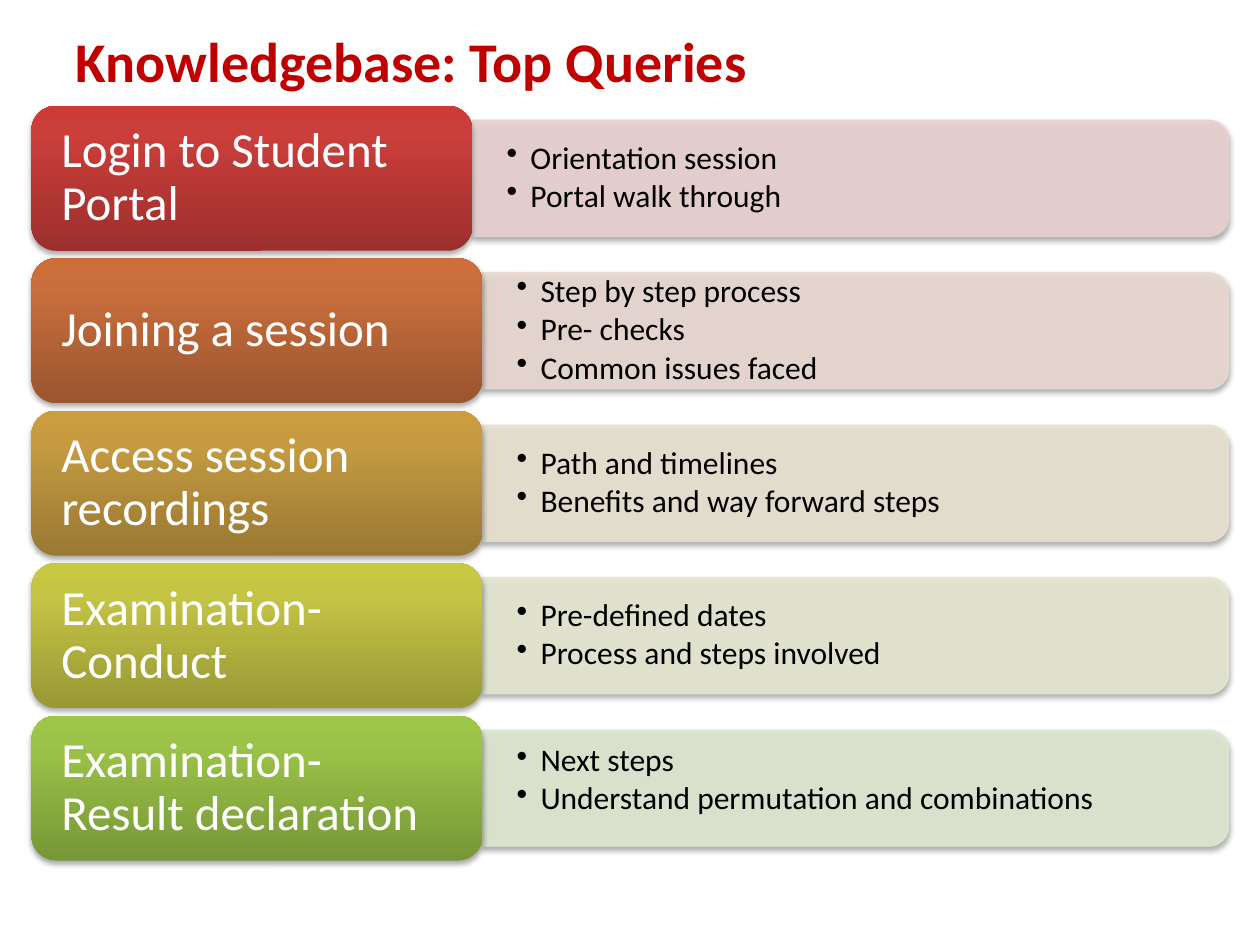
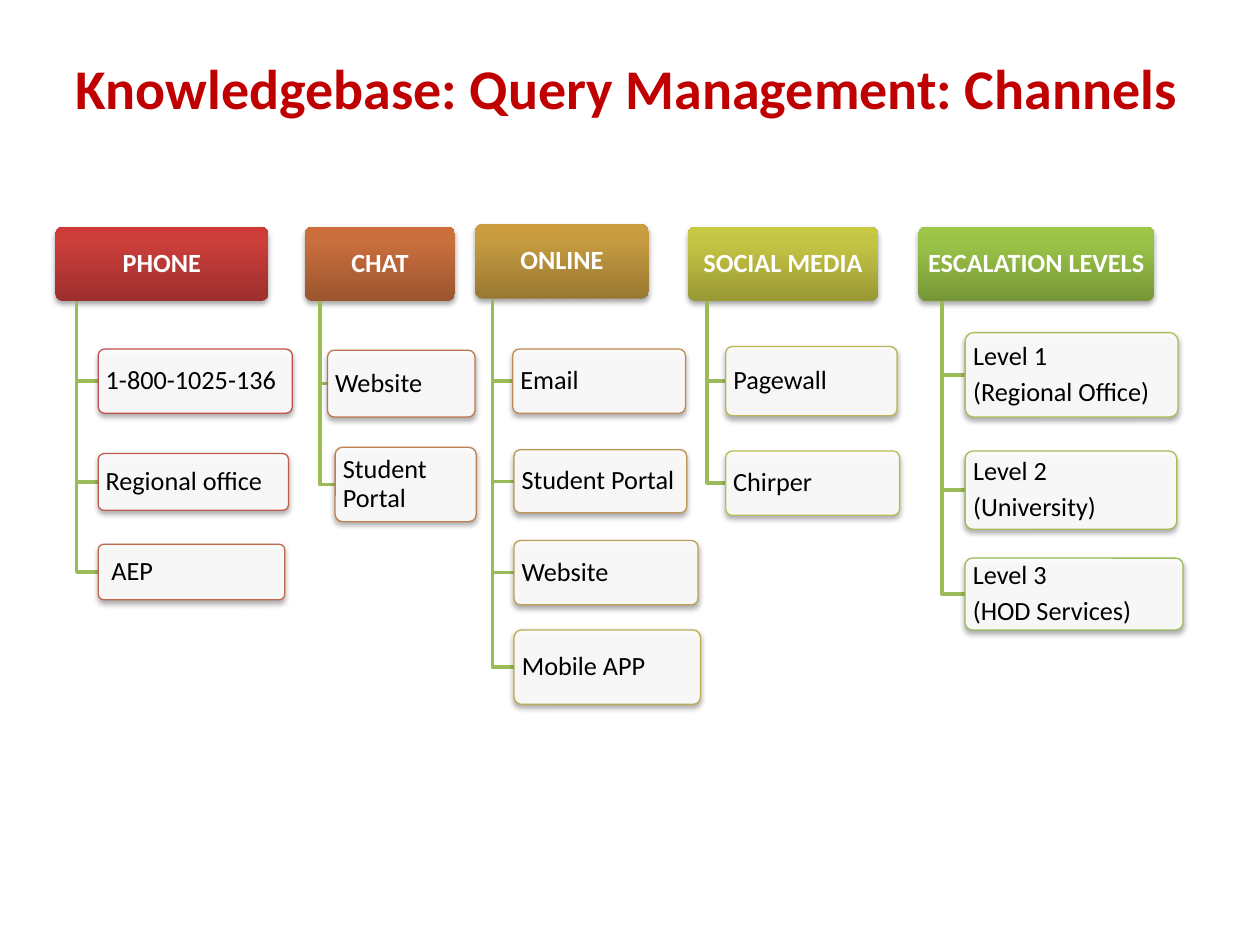
from colorsys import hls_to_rgb, rgb_to_hls
from copy import deepcopy
from dataclasses import dataclass, field
from typing import Any, NamedTuple

from lxml import etree
from pptx import Presentation
from pptx import util as u
from pptx.dml.color import RGBColor
from pptx.enum import shapes, text
from pptx.oxml.ns import qn

WIDE, HIGH = u.Inches(10), u.Inches(7.5)
COLS, ROWS = 100, 75


@dataclass(frozen=True)
class Theme:
    font: str = "Calibri"
    title: str = "C00000"
    ink: str = "000000"
    paper: str = "FFFFFF"
    stem: str = "9BBB59"
    first: str = "C0504D"
    last: str = "9BBB59"
    big: int = 32
    head: int = 28
    list: int = 18
    node: int = 15
    ramps: tuple = (
        ("9C2F2D", "CB3E3A", "CE3B37"),
        ("9B552F", "C96E3D", "CD6E3B"),
        ("997832", "C79C41", "CB9D3F"),
        ("989835", "C5C545", "C8C942"),
        ("779737", "9BC348", "9DC746"),
    )
    tints: tuple = ("E8D0D0", "E8D9D0", "E8E1D1", "E6E7D1", "DEE7D1")


THEME = Theme()


class Box(NamedTuple):
    x: float
    y: float
    w: float
    h: float

    @property
    def mid(self) -> float:
        return self.y + self.h / 2


class Pad(NamedTuple):
    x: float
    top: float
    low: float


@dataclass(frozen=True)
class Type:
    size: int
    color: str
    bold: bool = False
    align: Any = text.PP_ALIGN.LEFT
    gap: float = 0.0
    lead: float = 0.9
    dot: bool = False


@dataclass(frozen=True)
class Topic:
    name: str
    items: tuple
    w: float = 35.8
    lift: float = 0.0


@dataclass(frozen=True)
class Leaf:
    words: str
    box: Box


@dataclass(frozen=True)
class Branch:
    name: str
    box: Box
    leaves: list = field(default_factory=list)


TITLE = Type(THEME.big, THEME.title, bold=True, lead=1.0)
HEAD = Type(THEME.head, THEME.paper)
LIST = Type(THEME.list, THEME.ink, gap=2.4, dot=True)
ROOT = Type(THEME.node, THEME.paper, bold=True, align=text.PP_ALIGN.CENTER)
NODE = Type(THEME.node, THEME.ink, gap=4.7)

TOPICS = [
    Topic("Login to Student Portal", ("Orientation session", "Portal walk through"), w=35),
    Topic("Joining a session", ("Step by step process", "Pre- checks", "Common issues faced")),
    Topic("Access session recordings", ("Path and timelines", "Benefits and way forward steps")),
    Topic("Examination- Conduct", ("Pre-defined dates", "Process and steps involved")),
    Topic("Examination- Result declaration",
          ("Next steps", "Understand permutation and combinations"), lift=1.2),
]

BRANCHES = [
    Branch("PHONE", Box(4.4, 18, 16.9, 5.9), [
        Leaf("1-800-1025-136", Box(7.8, 27.7, 15.4, 5.1)),
        Leaf("Regional office", Box(7.8, 36, 15.1, 4.5)),
        Leaf(" AEP", Box(7.8, 43.2, 14.8, 4.4)),
    ]),
    Branch("CHAT", Box(24.2, 18, 11.9, 5.9), [
        Leaf("Website", Box(26, 27.8, 11.7, 5.3)),
        Leaf("Student Portal", Box(26.6, 35.5, 11.2, 5.9)),
    ]),
    Branch("ONLINE", Box(37.7, 17.8, 13.8, 5.9), [
        Leaf("Email", Box(40.7, 27.7, 13.7, 5.1)),
        Leaf("Student Portal", Box(40.8, 35.7, 13.7, 5)),
        Leaf("Website", Box(40.8, 42.9, 14.6, 5.1)),
        Leaf("Mobile APP", Box(40.8, 50, 14.8, 5.9)),
    ]),
    Branch("SOCIAL MEDIA", Box(54.6, 18, 15.1, 5.9), [
        Leaf("Pagewall", Box(57.6, 27.5, 13.6, 5.5)),
        Leaf("Chirper", Box(57.6, 35.8, 13.8, 5.1)),
    ]),
    Branch("ESCALATION LEVELS", Box(72.9, 18, 18.7, 5.9), [
        Leaf("Level 1\n(Regional Office)", Box(76.6, 26.4, 16.9, 6.7)),
        Leaf("Level 2\n(University)", Box(76.6, 35.8, 16.8, 6.2)),
        Leaf("Level 3\n(HOD Services)", Box(76.6, 44.3, 17.3, 5.7)),
    ]),
]


def put(obj: Any, vals: dict) -> None:
    for key, val in vals.items():
        setattr(obj, key, val)


def col(n: float) -> int:
    return round(WIDE * n / COLS)


def row(n: float) -> int:
    return round(HIGH * n / ROWS)


def place(box: Box) -> tuple:
    return col(box.x), row(box.y), col(box.w), row(box.h)


def blend(part: float) -> str:
    ends = [rgb_to_hls(*(c / 255 for c in RGBColor.from_string(s)))
            for s in (THEME.first, THEME.last)]
    mix = [a + (b - a) * part for a, b in zip(*ends)]
    return "".join(f"{round(c * 255):02X}" for c in hls_to_rgb(*mix))


def write(shape: Any, lines: list, kind: Type, pad: Pad) -> None:
    frame = shape.text_frame
    frame.text = "\n".join(lines)
    put(frame, dict(word_wrap=True, auto_size=text.MSO_AUTO_SIZE.NONE,
                    vertical_anchor=text.MSO_ANCHOR.MIDDLE,
                    margin_left=col(pad.x), margin_right=col(pad.x),
                    margin_top=row(pad.top), margin_bottom=row(pad.low)))
    for para in frame.paragraphs:
        put(para, dict(alignment=kind.align, line_spacing=kind.lead,
                       space_before=u.Pt(0), space_after=u.Pt(kind.gap)))
        if kind.dot:
            para.level = 1
            prop = para._p.get_or_add_pPr()
            prop.set("marL", str(col(1.9)))
            prop.set("indent", str(-col(1.9)))
            etree.SubElement(prop, qn("a:buChar"), char="•")
        for run in para.runs:
            put(run.font, dict(name=THEME.font, size=u.Pt(kind.size), bold=kind.bold))
            run.font.color.rgb = RGBColor.from_string(kind.color)


def shade(shape: Any) -> None:
    shape.shadow.inherit = False
    list_ = shape.element.spPr.find(qn("a:effectLst"))
    drop = etree.SubElement(list_, qn("a:outerShdw"), blurRad="40000", dist="23000",
                            dir="5400000", rotWithShape="0")
    tone = etree.SubElement(drop, qn("a:srgbClr"), val=THEME.ink)
    etree.SubElement(tone, qn("a:alpha"), val="35000")


def thin(shape: Any, tag: str) -> None:
    for tone in shape.element.spPr.find(qn(tag)).iter(qn("a:srgbClr")):
        etree.SubElement(tone, qn("a:alpha"), val="90000")


def plain(shape: Any, fill: str, line: str) -> None:
    shape.fill.solid()
    shape.fill.fore_color.rgb = RGBColor.from_string(fill)
    shape.line.color.rgb = RGBColor.from_string(line)
    shape.line.width = u.Pt(0.75)
    thin(shape, "a:solidFill")
    shade(shape)


def glow(shape: Any, ramp: tuple) -> None:
    shape.fill.gradient()
    shape.fill.gradient_angle = 90
    stops = shape.element.spPr.find(".//" + qn("a:gsLst"))
    stops.append(deepcopy(stops[0]))
    for stop, spot, tone in zip(shape.fill.gradient_stops, (0, 0.8, 1), ramp):
        stop.color.rgb = RGBColor.from_string(tone)
        stop.position = spot
    shape.line.fill.background()
    shade(shape)


def card(slide: Any, box: Box, curve: float) -> Any:
    shape = slide.shapes.add_shape(shapes.MSO_SHAPE.ROUNDED_RECTANGLE, *place(box))
    shape.adjustments[0] = curve
    return shape


def band(slide: Any, box: Box, tint: str) -> None:
    turn = Box(box.x + (box.w - box.h) / 2, box.mid - box.w / 2, box.h, box.w)
    shape = slide.shapes.add_shape(shapes.MSO_SHAPE.ROUND_2_SAME_RECTANGLE, *place(turn))
    shape.rotation = 90
    plain(shape, tint, tint)
    thin(shape, "a:ln")


def start(deck: Any, words: str, box: Box) -> Any:
    slide = deck.slides.add_slide(deck.slide_layouts[5])
    title = slide.shapes.title
    put(title, dict(zip(("left", "top", "width", "height"), place(box))))
    write(title, [words], TITLE, Pad(1, 0.5, 0.5))
    return slide


def topic(slide: Any, num: int, item: Topic) -> None:
    head = Box(2.5, 8.4 + 12.1 * num, item.w, 11.5)
    left = head.x + head.w
    body = Box(left, head.mid - 4.6, 97.5 - left, 9.2)
    band(slide, body, THEME.tints[num])
    note = Box(left, head.mid - 4.15, body.w - 0.5, 8.3)
    write(slide.shapes.add_textbox(*place(note)), list(item.items), LIST,
          Pad(2.7, 1.4, 1.4 + item.lift))
    shape = card(slide, head, 0.17)
    glow(shape, THEME.ramps[num])
    write(shape, [item.name], HEAD, Pad(1.8, 1.1, 1.1))


def stem(slide: Any, head: Box, leaf: Box) -> None:
    x, y = col(head.x + head.w / 10), row(leaf.mid)
    pen = slide.shapes.build_freeform(x, row(head.y + head.h))
    pen.add_line_segments([(x, y), (col(leaf.x), y)], close=False)
    line = pen.convert_to_shape()
    line.fill.background()
    line.line.color.rgb = RGBColor.from_string(THEME.stem)
    line.line.width = u.Pt(2)
    line.shadow.inherit = False


def branch(slide: Any, item: Branch, ramp: tuple, tones: Any) -> None:
    pad = Pad(0.45, 0.35, 0.35)
    root = card(slide, item.box, 0.1)
    glow(root, ramp)
    write(root, [item.name], ROOT, pad)
    for leaf in item.leaves:
        stem(slide, item.box, leaf.box)
        shape = card(slide, leaf.box, 0.1)
        plain(shape, THEME.paper, next(tones))
        write(shape, leaf.words.split("\n"), NODE, pad)


def main() -> None:
    deck = Presentation()
    put(deck, dict(slide_width=WIDE, slide_height=HIGH))
    slide = start(deck, "Knowledgebase: Top Queries", Box(5, 1.3, 90, 7))
    for num, item in enumerate(TOPICS):
        topic(slide, num, item)
    slide = start(deck, "Knowledgebase: Query Management: Channels", Box(5, 3, 92.5, 7.8))
    count = sum(len(item.leaves) for item in BRANCHES)
    tones = (blend(n / (count - 1)) for n in range(count))
    for item, ramp in zip(BRANCHES, THEME.ramps):
        branch(slide, item, ramp, tones)
    deck.save("out.pptx")


if __name__ == "__main__":
    main()
